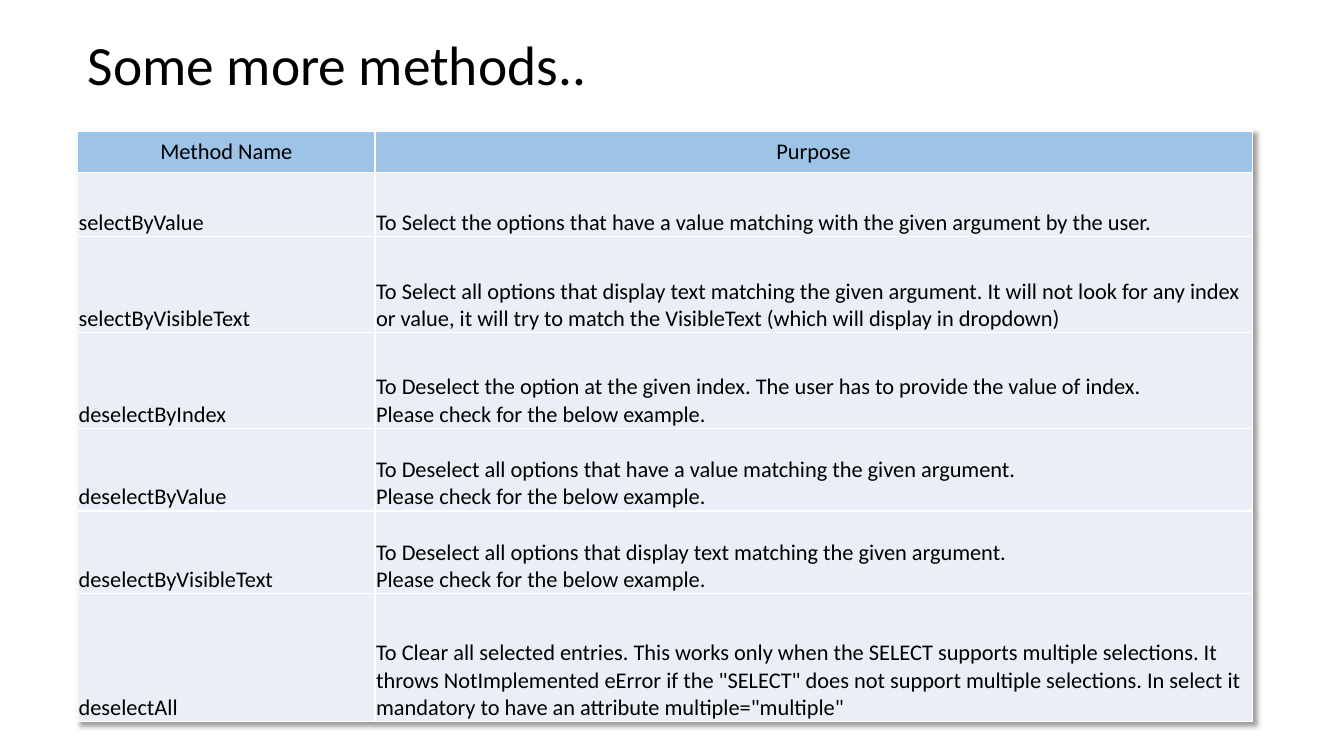
from dataclasses import dataclass

from lxml.etree import SubElement
from pptx import Presentation
from pptx.dml.color import RGBColor
from pptx.enum.text import MSO_ANCHOR as Anchor, MSO_AUTO_SIZE as AutoSize, PP_ALIGN as Align
from pptx.oxml import parse_xml
from pptx.oxml.ns import nsdecls, qn
from pptx.util import Pt

EMU_PER_PX = 9144
TITLE_ONLY = 5


@dataclass(frozen=True)
class Theme:
    """Colours, font and type sizes of the slide."""
    font: str = "Calibri"
    title_size: float = 39.6
    table_size: float = 16
    ink: str = "000000"
    header_fill: str = "9DC3E6"
    body_fill: str = "EAEFF7"
    border: str = "FFFFFF"


THEME = Theme()
TITLE = "Some more methods.."
TITLE_BOX = (77, 33, 849, 69)
TABLE_BOX = (77, 130, 1165, 586)
COLUMN_WIDTHS = (295, 870)
ROW_HEIGHTS = (41, 64, 95, 95, 82, 82, 127)
METHODS = (
    ("Method Name", "Purpose"),
    ("selectByValue",
     "To Select the options that have a value matching with the given argument by the user."),
    ("selectByVisibleText",
     "To Select all options that display text matching the given argument. It will not look for "
     "any index or value, it will try to match the VisibleText (which will display in dropdown)"),
    ("deselectByIndex",
     "To Deselect the option at the given index. The user has to provide the value of index.\n"
     "Please check for the below example."),
    ("deselectByValue",
     "To Deselect all options that have a value matching the given argument.\n"
     "Please check for the below example."),
    ("deselectByVisibleText",
     "To Deselect all options that display text matching the given argument.\n"
     "Please check for the below example."),
    ("deselectAll",
     "To Clear all selected entries. This works only when the SELECT supports multiple selections. "
     "It throws NotImplemented eError if the \"SELECT\" does not support multiple selections. "
     "In select it mandatory to have an attribute multiple=\"multiple\""),
)


def px(length):
    """Turn pixels into EMU."""
    return length * EMU_PER_PX


def add_text(paragraph, text, size):
    """Add text as styled runs, with a line break at each newline."""
    for number, line in enumerate(text.split("\n")):
        if number:
            paragraph.add_line_break()
        run = paragraph.add_run()
        run.text = line
        run.font.name = THEME.font
        run.font.size = Pt(size)
        run.font.color.rgb = RGBColor.from_string(THEME.ink)


def add_borders(cell):
    """Draw a thin line on each side of a cell."""
    properties = cell._tc.get_or_add_tcPr()
    for position, side in enumerate(("lnL", "lnR", "lnT", "lnB")):
        line = parse_xml(f'<a:{side} {nsdecls("a")} w="{Pt(1)}"><a:solidFill>'
                         f'<a:srgbClr val="{THEME.border}"/></a:solidFill></a:{side}>')
        properties.insert(position, line)


def add_table_shadow(table):
    """Give the table a soft shadow below and to the right."""
    effects = SubElement(table._tbl.tblPr, qn("a:effectLst"))
    shadow = SubElement(effects, qn("a:outerShdw"), blurRad=str(px(5)), dist=str(px(4)),
                        dir="2700000", algn="tl", rotWithShape="0")
    colour = SubElement(shadow, qn("a:srgbClr"), val=THEME.ink)
    SubElement(colour, qn("a:alpha"), val="40000")


def fill_cell(cell, text, is_header):
    """Style one table cell and write its text."""
    cell.fill.solid()
    fill = THEME.header_fill if is_header else THEME.body_fill
    cell.fill.fore_color.rgb = RGBColor.from_string(fill)
    cell.margin_left = cell.margin_right = cell.margin_top = px(1)
    cell.margin_bottom = 0
    cell.vertical_anchor = Anchor.MIDDLE if is_header else Anchor.BOTTOM
    paragraph = cell.text_frame.paragraphs[0]
    paragraph.alignment = Align.CENTER if is_header else Align.LEFT
    add_text(paragraph, text, THEME.table_size)
    add_borders(cell)


def place_title(slide, box):
    """Move the title placeholder into its box and write the title."""
    title = slide.shapes.title
    title.left, title.top, title.width, title.height = map(px, box)
    frame = title.text_frame
    frame.word_wrap = True
    frame.auto_size = AutoSize.NONE
    frame.vertical_anchor = Anchor.BOTTOM
    paragraph = frame.paragraphs[0]
    paragraph.alignment = Align.LEFT
    paragraph.line_spacing = 0.9
    add_text(paragraph, TITLE, THEME.title_size)


def place_methods_table(slide, box):
    """Add the table of methods in its box."""
    table = slide.shapes.add_table(len(METHODS), len(COLUMN_WIDTHS), *map(px, box)).table
    add_table_shadow(table)
    for column, width in zip(table.columns, COLUMN_WIDTHS):
        column.width = px(width)
    for number, (row, height, texts) in enumerate(zip(table.rows, ROW_HEIGHTS, METHODS)):
        row.height = px(height)
        for cell, text in zip(row.cells, texts):
            fill_cell(cell, text, is_header=number == 0)


def main():
    """Build the slide and save it."""
    presentation = Presentation()
    presentation.slide_width, presentation.slide_height = px(1333), px(750)
    slide = presentation.slides.add_slide(presentation.slide_layouts[TITLE_ONLY])
    place_title(slide, TITLE_BOX)
    place_methods_table(slide, TABLE_BOX)
    presentation.save("out.pptx")


if __name__ == "__main__":
    main()
